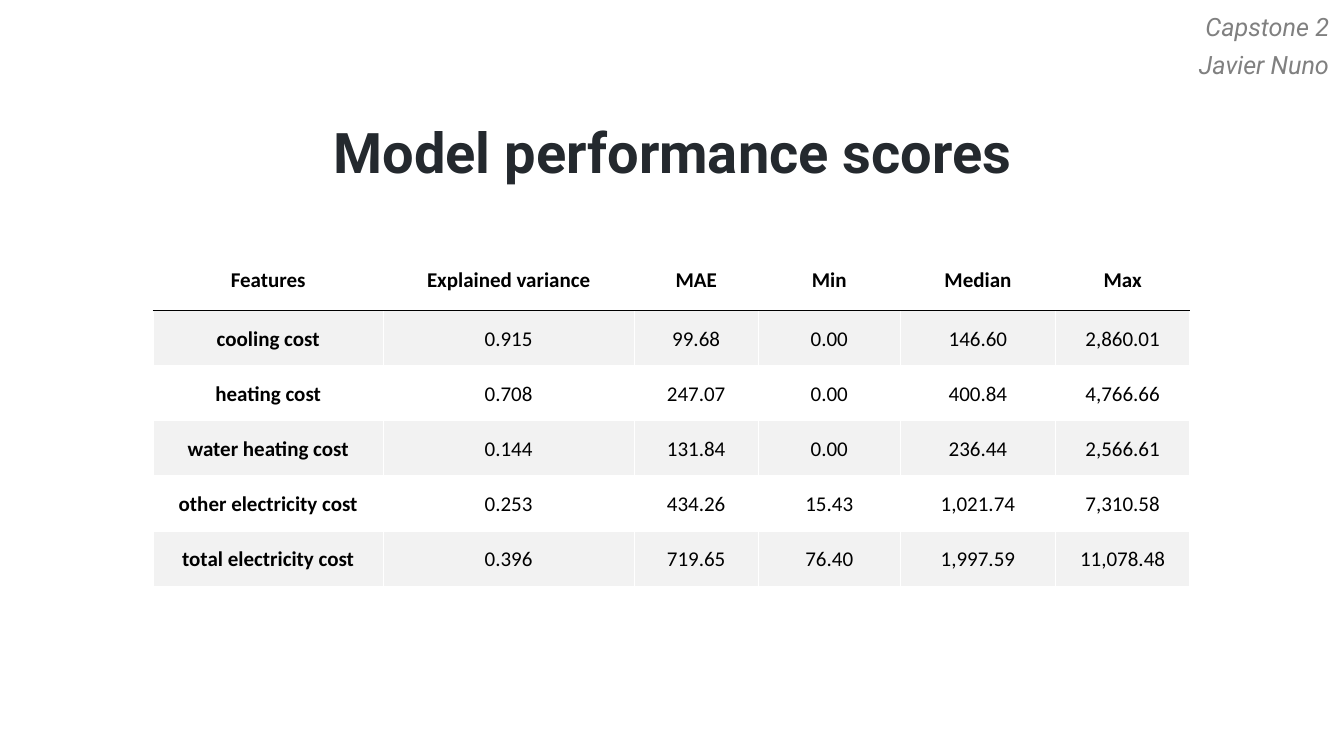
from lxml import etree
from pptx import Presentation
from pptx.dml.color import RGBColor
from pptx.enum.text import MSO_ANCHOR, PP_ALIGN
from pptx.oxml.ns import qn
from pptx.util import Inches, Pt

INK = RGBColor(0x24, 0x29, 0x2E)
GRAY = RGBColor(0x80, 0x80, 0x80)
BAND = RGBColor(0xF2, 0xF2, 0xF2)
WHITE = RGBColor(0xFF, 0xFF, 0xFF)
BLACK = RGBColor(0, 0, 0)

SCORES = [
    ("Features", "Explained variance", "MAE", "Min", "Median", "Max"),
    ("cooling cost", "0.915", "99.68", "0.00", "146.60", "2,860.01"),
    ("heating cost", "0.708", "247.07", "0.00", "400.84", "4,766.66"),
    ("water heating cost", "0.144", "131.84", "0.00", "236.44", "2,566.61"),
    ("other electricity cost", "0.253", "434.26", "15.43", "1,021.74", "7,310.58"),
    ("total electricity cost", "0.396", "719.65", "76.40", "1,997.59", "11,078.48"),
]
COL_WIDTHS = (2.28, 2.49, 1.23, 1.41, 1.54, 1.33)
HEADER_HEIGHT, ROW_HEIGHT = 0.58, 0.52


def set_font(p, name, size, color, bold=False, italic=False):
    f = p.font
    f.name, f.size, f.bold, f.italic = name, Pt(size), bold, italic
    f.color.rgb = color


def set_borders(cell, top, bottom):
    """Draw 1 pt borders, white at the sides."""
    tc_pr = cell._tc.get_or_add_tcPr()
    sides = (("a:lnL", WHITE), ("a:lnR", WHITE), ("a:lnT", top), ("a:lnB", bottom))
    for i, (tag, color) in enumerate(sides):
        ln = etree.Element(qn(tag), w=str(Pt(1)))
        fill = etree.SubElement(ln, qn("a:solidFill"))
        etree.SubElement(fill, qn("a:srgbClr"), val=str(color))
        tc_pr.insert(i, ln)


def add_title(s, left, top, width, height):
    title = s.shapes.title
    title.left, title.top = Inches(left), Inches(top)
    title.width, title.height = Inches(width), Inches(height)
    tf = title.text_frame
    tf.text = "Model performance scores"
    tf.vertical_anchor = MSO_ANCHOR.MIDDLE
    p = tf.paragraphs[0]
    p.alignment, p.line_spacing = PP_ALIGN.CENTER, 0.9
    set_font(p, "Roboto", 40, INK, bold=True)


def add_byline(s, left, top, width, height):
    box = s.shapes.add_textbox(Inches(left), Inches(top), Inches(width), Inches(height))
    tf = box.text_frame
    tf.word_wrap = True
    tf.text = "Capstone 2\nJavier Nuno"
    for p in tf.paragraphs:
        p.alignment, p.space_after = PP_ALIGN.RIGHT, Pt(6)
        set_font(p, "Roboto", 18, GRAY, italic=True)


def fill_cell(cell, text, row, col):
    cell.text = text
    cell.vertical_anchor = MSO_ANCHOR.MIDDLE if row else MSO_ANCHOR.TOP
    cell.margin_left = cell.margin_right = Inches(0.14)
    cell.margin_top = cell.margin_bottom = Inches(0.14)
    cell.fill.solid()
    cell.fill.fore_color.rgb = BAND if row % 2 else WHITE
    set_borders(cell, BLACK if row == 1 else WHITE, WHITE if row else BLACK)
    p = cell.text_frame.paragraphs[0]
    p.alignment, p.line_spacing = PP_ALIGN.CENTER, 1.07
    set_font(p, "Calibri", 15, BLACK, bold=row == 0 or col == 0)


def add_score_table(s, left, top):
    height = HEADER_HEIGHT + ROW_HEIGHT * (len(SCORES) - 1)
    table = s.shapes.add_table(
        len(SCORES), len(COL_WIDTHS), Inches(left), Inches(top),
        Inches(sum(COL_WIDTHS)), Inches(height)).table
    for column, width in zip(table.columns, COL_WIDTHS):
        column.width = Inches(width)
    for row, values in enumerate(SCORES):
        table.rows[row].height = Inches(ROW_HEIGHT if row else HEADER_HEIGHT)
        for col, text in enumerate(values):
            fill_cell(table.cell(row, col), text, row, col)


def main():
    prs = Presentation()
    prs.slide_width, prs.slide_height = Inches(13.33), Inches(7.5)
    s = prs.slides.add_slide(prs.slide_layouts[0])
    subtitle = s.placeholders[1].element
    subtitle.getparent().remove(subtitle)
    add_title(s, 1.71, 1.14, 9.92, 0.81)
    add_byline(s, 11.59, 0.06, 1.69, 0.79)
    add_score_table(s, 1.52, 2.5)
    prs.save("out.pptx")


if __name__ == "__main__":
    main()
